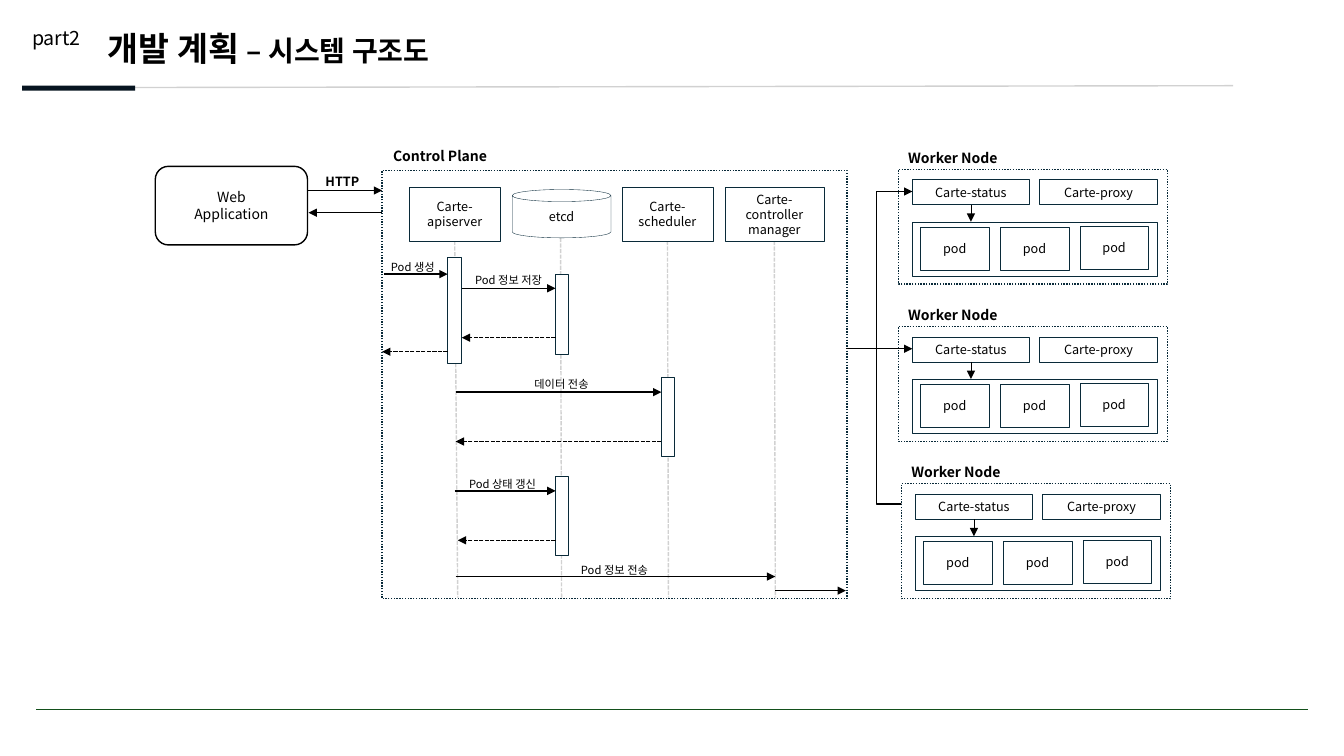
from lxml.etree import SubElement
from pptx import Presentation
from pptx.dml.color import RGBColor
from pptx.enum.dml import MSO_LINE
from pptx.enum.shapes import MSO_CONNECTOR, MSO_SHAPE
from pptx.enum.text import MSO_ANCHOR, MSO_AUTO_SIZE, PP_ALIGN
from pptx.oxml.ns import qn
from pptx.util import Pt

PX = 9144  # EMU per px: 100 px to the inch
FONT = "Noto Sans CJK KR"
BLACK = RGBColor(0x00, 0x00, 0x00)
WHITE = RGBColor(0xFF, 0xFF, 0xFF)
NAVY = RGBColor(0x09, 0x2A, 0x39)
INK = RGBColor(0x07, 0x14, 0x20)
GREY = RGBColor(0xD1, 0xD1, 0xD1)
GREEN = RGBColor(0x13, 0x50, 0x1B)


def emu(*lengths):
    return [length * PX for length in lengths]


def style_paragraph(para, size, bold=False, align=PP_ALIGN.LEFT):
    para.alignment = align
    font = para.font
    font.size, font.bold, font.name = Pt(size), bold, FONT
    font.color.rgb = BLACK
    defaults = para._p.pPr.find(qn("a:defRPr"))
    SubElement(defaults, qn("a:ea")).set("typeface", FONT)


def write_lines(frame, text, size, bold=False, align=PP_ALIGN.CENTER):
    for index, line in enumerate(text.split("\n")):
        para = frame.paragraphs[0] if index == 0 else frame.add_paragraph()
        para.add_run().text = line
        style_paragraph(para, size, bold, align)


def add_box(page, bounds, text="", kind=MSO_SHAPE.RECTANGLE, fill=WHITE,
            line=NAVY, width=0.25, dash=None, size=9):
    box = page.shapes.add_shape(kind, *emu(*bounds))
    box.shadow.inherit = False
    if fill is None:
        box.fill.background()
    else:
        box.fill.solid()
        box.fill.fore_color.rgb = fill
    if line is None:
        box.line.fill.background()
    else:
        box.line.color.rgb = line
        box.line.width = Pt(width)
        if dash:
            box.line.dash_style = dash
    if text:
        frame = box.text_frame
        frame.word_wrap = True
        frame.vertical_anchor = MSO_ANCHOR.MIDDLE
        write_lines(frame, text, size)
    return box


def add_label(page, bounds, text, size, bold=False, align=PP_ALIGN.LEFT):
    box = page.shapes.add_textbox(*emu(*bounds))
    write_lines(box.text_frame, text, size, bold, align)
    box.text_frame.word_wrap = True
    return box


def add_message_label(page, bounds, text, size=8, bold=False):
    frame = add_label(page, bounds, text, size, bold, PP_ALIGN.CENTER).text_frame
    frame.word_wrap = False
    frame.auto_size = MSO_AUTO_SIZE.SHAPE_TO_FIT_TEXT
    frame.vertical_anchor = MSO_ANCHOR.MIDDLE


def add_line(page, points, color=BLACK, width=1, dash=None, ends=(),
             kind=MSO_CONNECTOR.STRAIGHT):
    line = page.shapes.add_connector(kind, *emu(*points))
    line.line.color.rgb = color
    line.line.width = Pt(width)
    if dash:
        line.line.dash_style = dash
    properties = line._element.spPr
    for end in ends:
        SubElement(properties.find(qn("a:ln")), qn(f"a:{end}")).set("type", "triangle")
    SubElement(properties, qn("a:effectLst"))
    return line


def add_arrow(page, points, width=1, dash=None):
    add_line(page, points, width=width, dash=dash, ends=["tailEnd"])


def add_header(page):
    add_line(page, (45, 87, 1223, 85), GREY)
    add_box(page, (22, 85, 112, 5), fill=INK, line=None)
    add_line(page, (36, 704, 1297, 704), GREEN, 0.75)
    add_label(page, (22, 21, 86, 34), "part2", 14)
    title = add_label(page, (97, 23, 641, 50), "개발 계획 ", 24, bold=True)
    span = title.text_frame.paragraphs[0].add_run()
    span.text = "– 시스템 구조도"
    span.font.size = Pt(20)


def add_web_application(page):
    add_arrow(page, (305, 189, 379, 189))
    add_box(page, (154, 165, 151, 78), "Web\nApplication",
            MSO_SHAPE.ROUNDED_RECTANGLE, None, BLACK, 1, size=10)
    add_arrow(page, (380, 211, 306, 211))
    add_message_label(page, (309, 168, 61, 25), "HTTP", 9, bold=True)


def add_control_plane(page):
    add_box(page, (379, 169, 461, 425), width=1, dash=MSO_LINE.ROUND_DOT)
    add_label(page, (380, 141, 134, 24), "Control Plane", 10, bold=True)

    # Lifelines
    for points in [(451, 239, 454, 593), (556, 236, 557, 594),
                   (662, 239, 663, 593), (768, 239, 769, 593)]:
        add_line(page, points, GREY, dash=MSO_LINE.SQUARE_DOT)

    # Components
    for left, width, name in [(406, 90, "Carte-\napiserver"),
                              (617, 90, "Carte-scheduler"),
                              (719, 98, "Carte-\ncontroller\nmanager")]:
        add_box(page, (left, 186, width, 53), name)
    add_box(page, (508, 188, 98, 48), "etcd", MSO_SHAPE.CAN)

    # Activation bars
    for left, top, height in [(444, 255, 105), (551, 272, 79),
                              (551, 472, 79), (656, 374, 79)]:
        add_box(page, (left, top, 13, height))

    # Requests and replies: from x, to x, y
    for start, end, y in [(381, 444, 272), (458, 551, 286), (451, 551, 487),
                          (452, 656, 389), (452, 769, 572), (769, 839, 586)]:
        add_arrow(page, (start, y, end, y))
    for start, end, y in [(444, 379, 349), (551, 458, 335),
                          (551, 454, 536), (656, 452, 438)]:
        add_arrow(page, (start, y, end, y), dash=MSO_LINE.SQUARE_DOT)

    # Message names
    for left, top, width, text in [(375, 253, 69, "Pod 생성"),
                                   (458, 266, 93, "Pod 정보 저장"),
                                   (452, 468, 93, "Pod 상태 갱신"),
                                   (517, 369, 80, "데이터 전송"),
                                   (563, 554, 93, "Pod 정보 전송")]:
        add_message_label(page, (left, top, width, 24), text)


def add_worker_node(page, left, top):
    add_box(page, (left, top, 267, 114), width=1, dash=MSO_LINE.ROUND_DOT)
    add_label(page, (left, top - 25, 134, 24), "Worker Node", 10, bold=True)
    add_box(page, (left + 14, top + 10, 116, 25), "Carte-status")
    add_box(page, (left + 140, top + 10, 117, 25), "Carte-proxy")
    add_box(page, (left + 14, top + 52, 243, 54))
    for column, drop in enumerate((57, 57, 56)):
        add_box(page, (left + 22 + 79 * column, top + drop, 68, 43), "pod")
    add_arrow(page, (left + 72, top + 35, left + 72, top + 52), 0.5)


def add_worker_nodes(page):
    add_worker_node(page, 891, 168)
    # Trunk bends 36 px left of its ends, which lie 1 px apart
    trunk = add_line(page, (905, 190, 904, 500), ends=["headEnd", "tailEnd"],
                     kind=MSO_CONNECTOR.ELBOW)
    guides = trunk._element.spPr.find(qn("a:prstGeom")).get_or_add_avLst()
    guide = SubElement(guides, qn("a:gd"))
    guide.set("name", "adj1")
    guide.set("fmla", "val 3600000")
    add_worker_node(page, 891, 324)
    add_worker_node(page, 894, 480)
    add_arrow(page, (839, 346, 905, 346))


def main():
    deck = Presentation()
    deck.slide_width, deck.slide_height = emu(1333, 750)
    page = deck.slides.add_slide(deck.slide_layouts[6])
    add_header(page)
    add_web_application(page)
    add_control_plane(page)
    add_worker_nodes(page)
    deck.save("out.pptx")


if __name__ == "__main__":
    main()
